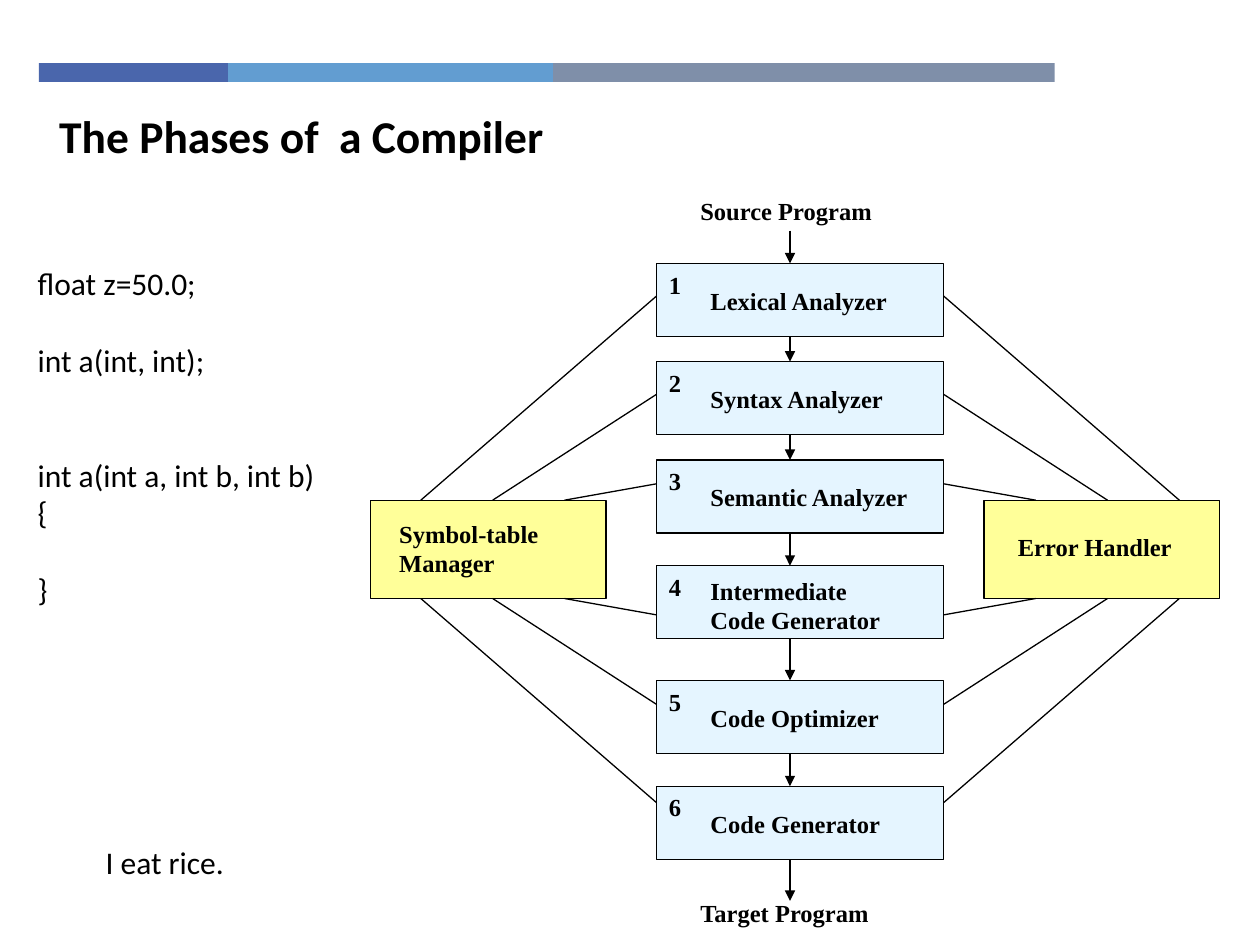
from lxml import etree
from pptx import Presentation
from pptx.dml.color import RGBColor
from pptx.enum.shapes import MSO_CONNECTOR, MSO_SHAPE
from pptx.enum.text import MSO_ANCHOR, PP_ALIGN
from pptx.oxml.ns import qn
from pptx.util import Inches, Pt

STRAIGHT = MSO_CONNECTOR.STRAIGHT
RECTANGLE = MSO_SHAPE.RECTANGLE
TOP, MIDDLE = MSO_ANCHOR.TOP, MSO_ANCHOR.MIDDLE
LEFT = PP_ALIGN.LEFT

COLORS = {
    "ink": "000000", "phase": "CCECFF", "manager": "FFFF99",
    "bar_blue": "4A66AC", "bar_sky": "629DD1", "bar_slate": "7F8FA9",
}
BODY_FONT, DIAGRAM_FONT = "Calibri", "Times New Roman"
CODE_LINE = 22  # height of one line of code, in points

PHASE_LEFT, PHASE_WIDTH, PHASE_HEIGHT = 5.21, 2.28, 0.58
PHASES = [  # name, top of box, offset of label, width of label
    ("Lexical Analyzer", 2.09, 0.13, 1.71),
    ("Syntax Analyzer", 2.87, 0.13, 1.71),
    ("Semantic Analyzer", 3.65, 0.13, 1.95),
    ("Intermediate Code Generator", 4.49, 0.03, 1.71),
    ("Code Optimizer", 5.4, 0.13, 1.71),
    ("Code Generator", 6.24, 0.13, 1.71),
]
FLOW_X, FLOW_START, FLOW_END = 6.27, 1.83, 7.15
MANAGER_TOP, MANAGER_WIDTH, MANAGER_HEIGHT = 3.97, 1.87, 0.78
# Upper left fan: height at the phase, x at the symbol-table manager
FAN = [(2.35, 3.34), (3.13, 3.91), (3.84, 4.48)]
CODE = [  # text, blank lines above
    ("float z=50.0;", 0), ("int a(int, int);", 1),
    ("int a(int a, int b, int b)", 2), ("{", 0), ("}", 1),
]


def color(name):
    """Return the named colour."""
    return RGBColor.from_string(COLORS[name])


def format_text(frame, size, font, bold=False, anchor=TOP):
    """Format every run of a text frame."""
    frame.vertical_anchor = anchor
    for paragraph in frame.paragraphs:
        paragraph.alignment = LEFT
        for run in paragraph.runs:
            run.font.size = Pt(size)
            run.font.name = font
            run.font.bold = bold
            run.font.color.rgb = color("ink")


def add_text(slide, text, left, top, width, height, size=14,
             font=DIAGRAM_FONT, bold=True, wrap=True):
    """Add a text box."""
    box = slide.shapes.add_textbox(
        Inches(left), Inches(top), Inches(width), Inches(height))
    box.text_frame.word_wrap = wrap
    box.text_frame.text = text
    format_text(box.text_frame, size, font, bold)
    return box.text_frame


def add_box(slide, left, top, width, height, fill, outlined=True, opacity=100):
    """Add a filled rectangle."""
    box = slide.shapes.add_shape(
        RECTANGLE, Inches(left), Inches(top), Inches(width), Inches(height))
    box.shadow.inherit = False
    box.fill.solid()
    box.fill.fore_color.rgb = color(fill)
    if opacity < 100:
        fill_color = box._element.spPr.find(qn("a:solidFill"))[0]
        etree.SubElement(fill_color, qn("a:alpha"), val=str(opacity * 1000))
    if outlined:
        box.line.color.rgb = color("ink")
        box.line.width = Pt(0.75)
    else:
        box.line.fill.background()


def add_line(slide, x1, y1, x2, y2, arrow=False):
    """Add a thin line, with an arrowhead at its end if wanted."""
    line = slide.shapes.add_connector(
        STRAIGHT, Inches(x1), Inches(y1), Inches(x2), Inches(y2))
    line.line.color.rgb = color("ink")
    line.line.width = Pt(0.75)
    if arrow:
        etree.SubElement(line.line._get_or_add_ln(), qn("a:tailEnd"),
                         type="triangle")
    etree.SubElement(line._element.spPr, qn("a:effectLst"))


def add_heading(slide):
    """Add the coloured band and fill the title."""
    left = 0.31
    for fill, width in (("bar_blue", 1.5), ("bar_sky", 2.58),
                        ("bar_slate", 3.98)):
        add_box(slide, left, 0.5, width, 0.15, fill, outlined=False)
        left += width
    title = slide.shapes.title
    title.left, title.top = Inches(0.37), Inches(0.8)
    title.width, title.height = Inches(7.16), Inches(0.54)
    title.text_frame.text = "The Phases of  a Compiler"
    format_text(title.text_frame, 26, BODY_FONT, True, MIDDLE)


def add_phases(slide):
    """Add the numbered phases and the arrows of the flow through them."""
    add_text(slide, "Source Program", 5.46, 1.51, 2.19, 0.32)
    arrow_start = FLOW_START
    for number, (name, top, offset, width) in enumerate(PHASES, 1):
        add_box(slide, PHASE_LEFT, top, PHASE_WIDTH, PHASE_HEIGHT, "phase",
                opacity=50)
        add_text(slide, name, 5.54, top + offset, width,
                 PHASE_HEIGHT - 2 * offset)
        add_text(slide, str(number), PHASE_LEFT, top, 0.24, 0.32)
        add_line(slide, FLOW_X, arrow_start, FLOW_X, top, arrow=True)
        arrow_start = top + PHASE_HEIGHT
    add_line(slide, FLOW_X, arrow_start, FLOW_X, FLOW_END, arrow=True)
    add_text(slide, "Target Program", 5.46, 7.08, 2.19, 0.32)


def add_managers(slide):
    """Add both side boxes and the lines that fan out to the phases."""
    for name, left, text_left, text_top, text_height in (
            ("Symbol-table Manager", 2.94, 3.07, 4.07, 0.55),
            ("Error Handler", 7.81, 7.98, 4.17, 0.32)):
        add_box(slide, left, MANAGER_TOP, MANAGER_WIDTH, MANAGER_HEIGHT,
                "manager")
        add_text(slide, name, text_left, text_top, 1.55, text_height)

    phase_right = PHASE_LEFT + PHASE_WIDTH
    manager_bottom = MANAGER_TOP + MANAGER_HEIGHT
    mirror_x = PHASE_LEFT + phase_right
    mirror_y = MANAGER_TOP + manager_bottom
    for phase_y, manager_x in FAN:
        for x1, x2 in ((PHASE_LEFT, manager_x),
                       (phase_right, mirror_x - manager_x)):
            add_line(slide, x1, phase_y, x2, MANAGER_TOP)
            add_line(slide, x1, mirror_y - phase_y, x2, manager_bottom)


def add_examples(slide):
    """Add the code sample and the sample sentence."""
    text = "\n".join(line for line, _ in CODE)
    code = add_text(slide, text, 0.2, 2.05, 2.81, 2.83, 18, BODY_FONT, False)
    for paragraph, (_, blank_lines) in zip(code.paragraphs, CODE):
        paragraph.space_before = Pt(blank_lines * CODE_LINE)
    add_text(slide, "I eat rice.", 0.74, 6.64, 1.15, 0.4, 18, BODY_FONT,
             False, wrap=False)


def main():
    """Build the slide and save it."""
    deck = Presentation()
    deck.slide_width, deck.slide_height = Inches(10), Inches(7.5)
    slide = deck.slides.add_slide(deck.slide_layouts[5])
    add_heading(slide)
    add_phases(slide)
    add_managers(slide)
    add_examples(slide)
    deck.save("out.pptx")


main()
